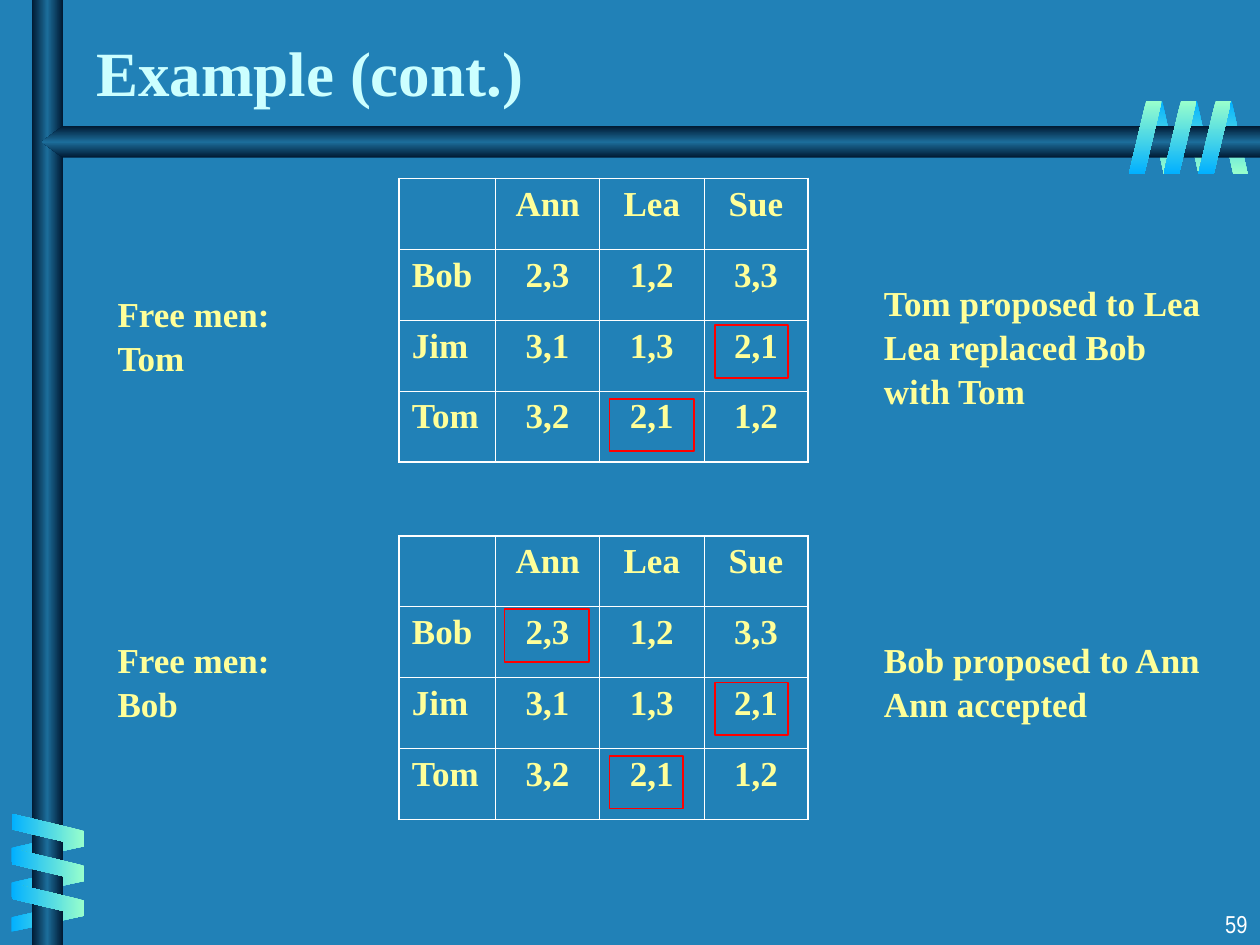
from dataclasses import dataclass

from pptx import Presentation
from pptx.dml.color import RGBColor
from pptx.enum.shapes import MSO_SHAPE
from pptx.enum.text import MSO_ANCHOR, MSO_AUTO_SIZE, PP_ALIGN
from pptx.oxml import parse_xml
from pptx.oxml.ns import nsdecls
from pptx.util import Cm, Pt

RECT, PARALLELOGRAM = MSO_SHAPE.RECTANGLE, MSO_SHAPE.PARALLELOGRAM
LEFT, CENTER, RIGHT = PP_ALIGN.LEFT, PP_ALIGN.CENTER, PP_ALIGN.RIGHT
TITLE_ONLY = 5


@dataclass(frozen=True)
class Theme:
    background: str = "2181B7"
    title: str = "CCFFFF"
    body: str = "FFFF99"
    white: str = "FFFFFF"
    match: str = "FF0000"
    rod: tuple = ("001932", "1C6D9A", "001932")
    coil_front: tuple = ("99FFCC", "01B0FF")
    coil_back: tuple = ("01B0FF", "99FFCC")
    serif: str = "Times New Roman"
    narrow: str = "Arial Narrow"
    title_size: int = 36
    body_size: int = 20
    number_size: int = 14
    outer_border: float = 1.08
    inner_border: float = 0.45


THEME = Theme()
PREFERENCES = [
    ["", "Ann", "Lea", "Sue"],
    ["Bob", "2,3", "1,2", "3,3"],
    ["Jim", "3,1", "1,3", "2,1"],
    ["Tom", "3,2", "2,1", "1,2"],
]
ROW_HEIGHT, NAME_WIDTH, COL_WIDTH = 1.43, 1.94, 2.1


def style(p, color, size, font=THEME.serif, bold=True, align=LEFT):
    p.alignment = align
    p.font.name, p.font.size, p.font.bold = font, Pt(size), bold
    p.font.color.rgb = RGBColor.from_string(color)


def set_gradient(sp, colors, angle):
    """Fill with evenly spaced stops that keep their direction when the shape turns."""
    sp.shadow.inherit = False
    sp.line.fill.background()
    sp.fill.background()
    last = len(colors) - 1
    stops = "".join(
        f'<a:gs pos="{i * 100000 // last}"><a:srgbClr val="{c}"/></a:gs>'
        for i, c in enumerate(colors))
    gradient = parse_xml(
        f'<a:gradFill {nsdecls("a")} rotWithShape="0"><a:gsLst>{stops}</a:gsLst>'
        f'<a:lin ang="{angle * 60000}" scaled="0"/></a:gradFill>')
    spPr = sp._element.spPr
    spPr.replace(spPr.find("{*}noFill"), gradient)


def add_coil(s, x, y, width, step, colors, angle, rotation=0, flip=False):
    """Three equal slanted strips, each moved by step (dx, dy)."""
    for i in range(3):
        sp = s.shapes.add_shape(PARALLELOGRAM, Cm(x + i * step[0]), Cm(y + i * step[1]),
                                Cm(width), Cm(1.47))
        sp.adjustments[0] = 0.53
        sp.rotation = rotation
        if flip:
            sp._element.spPr.xfrm.set("flipH", "1")
        set_gradient(sp, colors, angle)


def add_rods(s, width, height):
    upright = s.shapes.add_shape(RECT, Cm(0.64), 0, Cm(0.63), Cm(height))
    set_gradient(upright, THEME.rod, 180)
    top, thick, tip, shoulder = 2.54, 0.64, 0.84, 1.27
    points = [(Cm(x), Cm(y)) for x, y in [
        (width, top), (shoulder, top), (tip, top + thick / 2),
        (shoulder, top + thick), (width, top + thick)]]
    builder = s.shapes.build_freeform(*points[0])
    builder.add_line_segments(points[1:], close=True)
    set_gradient(builder.convert_to_shape(), THEME.rod, 90)


def add_decoration(s, width, height):
    across, down = (0.7, 0), (0, 0.7)
    add_coil(s, 23.14, 2.03, 0.61, across, THEME.coil_back, 90, 180, True)
    add_coil(s, 0.66, 16.34, 0.61, down, THEME.coil_back, 180, 90, True)
    add_rods(s, width, height)
    add_coil(s, 0.64, 16, 0.66, down, THEME.coil_front, 180, 270)
    add_coil(s, 22.76, 2.03, 0.66, across, THEME.coil_front, 90)


def set_title(s, text, x, y, w, h):
    title = s.shapes.title
    title.left, title.top, title.width, title.height = Cm(x), Cm(y), Cm(w), Cm(h)
    tf = title.text_frame
    tf.text = text
    tf.auto_size = MSO_AUTO_SIZE.NONE
    tf.vertical_anchor = MSO_ANCHOR.BOTTOM
    style(tf.paragraphs[0], THEME.title, THEME.title_size)


def add_text(s, lines, x, y, w, h):
    tf = s.shapes.add_textbox(Cm(x), Cm(y), Cm(w), Cm(h)).text_frame
    tf.word_wrap = True
    p = tf.paragraphs[0]
    for i, line in enumerate(lines):
        if i:
            p.add_line_break()
        p.add_run().text = line
    p.line_spacing = 1.05
    style(p, THEME.body, THEME.body_size)
    return p


def set_borders(cell, row, col, last):
    tcPr = cell._tc.get_or_add_tcPr()
    edges = {"L": col == 0, "R": col == last, "T": row == 0, "B": row == last}
    for side, outer in edges.items():
        weight = Pt(THEME.outer_border if outer else THEME.inner_border)
        tcPr.append(parse_xml(
            f'<a:ln{side} {nsdecls("a")} w="{weight}"><a:solidFill>'
            f'<a:srgbClr val="{THEME.white}"/></a:solidFill></a:ln{side}>'))


def add_preferences(s, x, y):
    n = len(PREFERENCES)
    table = s.shapes.add_table(n, n, Cm(x), Cm(y), Cm(NAME_WIDTH + (n - 1) * COL_WIDTH),
                               Cm(n * ROW_HEIGHT)).table
    table.first_row = table.horz_banding = False
    for i in range(n):
        table.rows[i].height = Cm(ROW_HEIGHT)
        table.columns[i].width = Cm(COL_WIDTH if i else NAME_WIDTH)
    for row, values in enumerate(PREFERENCES):
        for col, value in enumerate(values):
            cell = table.cell(row, col)
            cell.text = value
            style(cell.text_frame.paragraphs[0], THEME.body, THEME.body_size,
                  align=CENTER if col else LEFT)
            set_borders(cell, row, col, n - 1)
            cell.fill.background()


def add_match(s, x, y, row, col, width):
    """Frame the pair in one cell of the table at x, y."""
    sp = s.shapes.add_shape(RECT, Cm(x + 2.12 * col), Cm(y + 1.48 * row),
                            Cm(width), Cm(1.06))
    sp.shadow.inherit = False
    sp.fill.background()
    sp.line.color.rgb = RGBColor.from_string(THEME.match)
    sp.line.width = Pt(1)


def add_step(s, x, y, free_man, free_top, outcome, outcome_height, matches):
    """One round: the free man, the preference table with its pairs, the outcome."""
    table_x = x + 5.93
    add_text(s, ["Free men:", free_man], x, y + free_top, 5.72, 1.96)
    add_preferences(s, table_x, y)
    add_text(s, outcome, x + 15.45, y + 1.9, 7.2, outcome_height)
    for row, col, width in matches:
        add_match(s, table_x, y, row, col, width)


def add_slide_number(s, number, x, y, w, h):
    p = add_text(s, [number], x, y, w, h)
    p.line_spacing = 1.0
    style(p, THEME.white, THEME.number_size, THEME.narrow, False, RIGHT)


def main():
    width, height = 25.4, 19.05
    prs = Presentation()
    prs.slide_width, prs.slide_height = Cm(width), Cm(height)
    s = prs.slides.add_slide(prs.slide_layouts[TITLE_ONLY])
    s.background.fill.solid()
    s.background.fill.fore_color.rgb = RGBColor.from_string(THEME.background)

    add_decoration(s, width, height)
    set_title(s, "Example (cont.)", 1.69, 0.42, 21.08, 1.9)
    add_step(s, 2.12, 3.6, "Tom", 2.12, ["Tom proposed to Lea", "Lea replaced Bob with Tom"],
             2.8, [(3, 2, 1.7), (2, 3, 1.48)])
    add_step(s, 2.12, 10.8, "Bob", 1.9, ["Bob proposed to Ann", "Ann accepted"],
             1.96, [(1, 1, 1.7), (2, 3, 1.48), (3, 2, 1.48)])
    add_slide_number(s, "59", 20.11, 18.2, 5.29, 0.85)
    prs.save("out.pptx")


if __name__ == "__main__":
    main()
